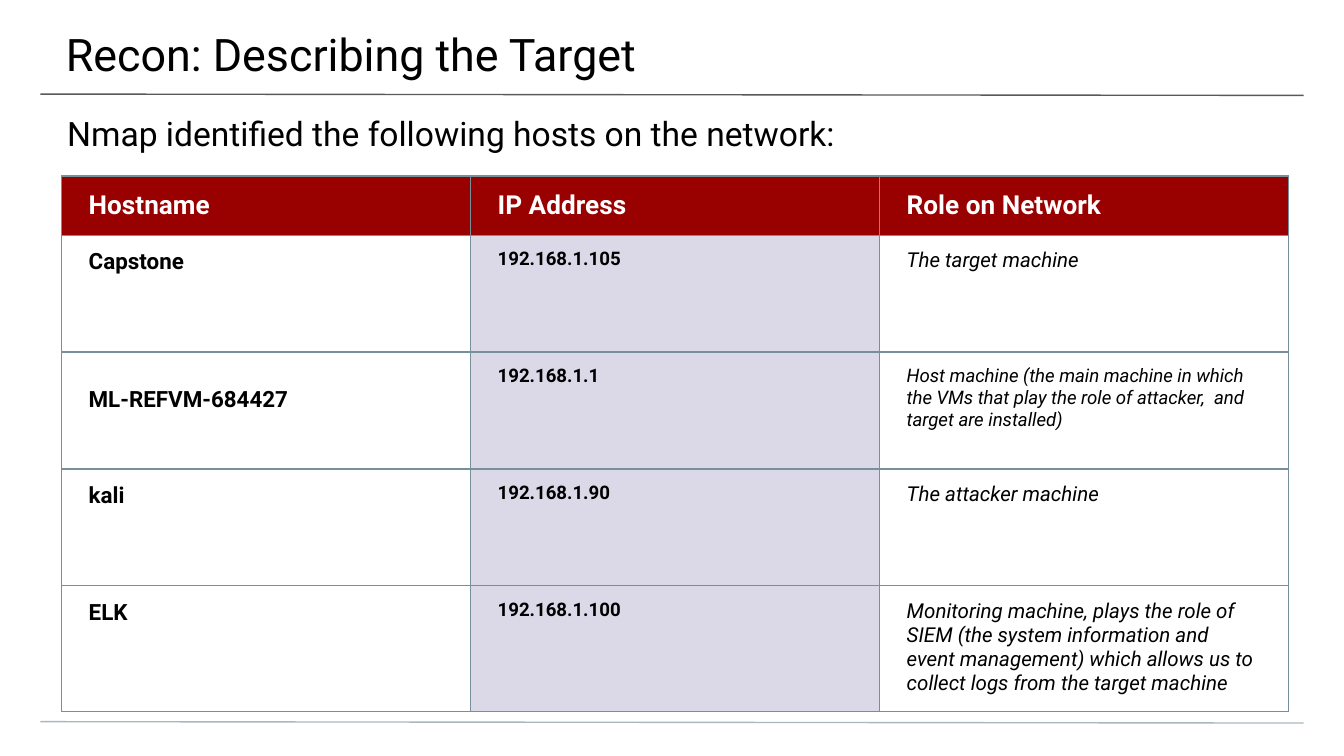
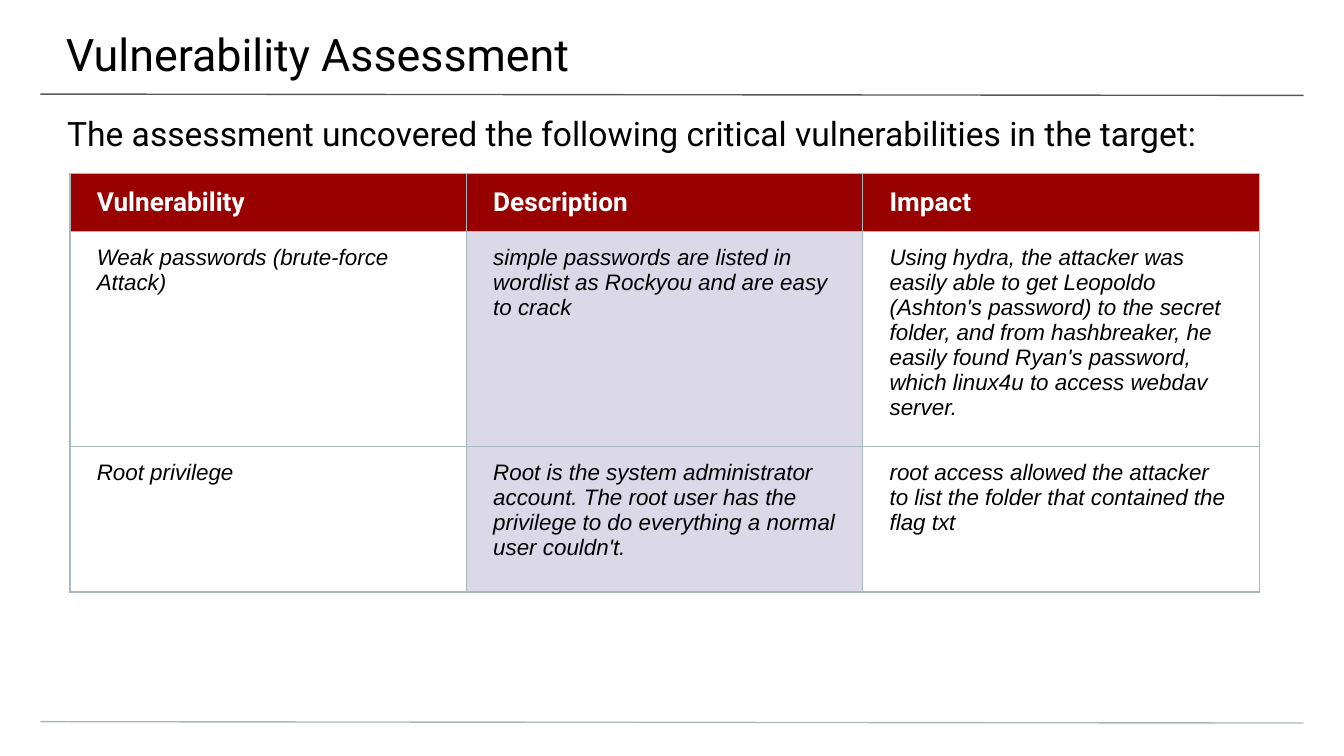
from lxml import etree
from pptx import Presentation
from pptx import util as u
from pptx.dml.color import RGBColor
from pptx.enum import shapes, text
from pptx.oxml.ns import qn

WIDTH, HEIGHT = 10, 5.625
BLACK, WHITE = "000000", "FFFFFF"
HEADER_RED, COLUMN_LILAC = "990000", "DBD9E8"
RULE_GREY, PALE_BLUE, SLATE = "595959", "A9B7C0", "78909C"
CELL_INSETS = (0.2, 0.1, 0.2, 0.1)
ROLE = dict(size=11, italic=True)
FINDING = dict(size=12, font="Arial", italic=True)


def color(hex_value):
    return RGBColor.from_string(hex_value)


def write(frame, words, size=12, font="Roboto", fill=BLACK, bold=False, italic=False):
    frame.word_wrap = True
    paragraph = frame.paragraphs[0]
    run = paragraph.add_run()
    run.text = words
    run.font.size, run.font.name = u.Pt(size), font
    run.font.bold, run.font.italic = bold, italic
    run.font.color.rgb = color(fill)


def set_insets(target, insets):
    """Set left, top, right and bottom margins of a text frame or table cell."""
    for side, inset in zip(("left", "top", "right", "bottom"), insets):
        setattr(target, f"margin_{side}", u.Inches(inset))


def add_text(slide, box, words, insets, **style):
    frame = slide.shapes.add_textbox(*map(u.Inches, box)).text_frame
    frame.vertical_anchor = text.MSO_ANCHOR.TOP
    set_insets(frame, insets)
    write(frame, words, **style)


def add_rule(slide, top, line_color):
    """Draw a nearly level line between the side margins."""
    margin = 0.03 * WIDTH
    rule = slide.shapes.add_connector(
        shapes.MSO_CONNECTOR.STRAIGHT,
        *map(u.Inches, (margin, top, WIDTH - margin, top + 0.01)))
    rule.line.color.rgb = color(line_color)
    rule.line.width = u.Pt(0.75)
    etree.SubElement(rule._element.spPr, qn("a:effectLst"))


def add_borders(cell, line_color):
    properties = cell._tc.get_or_add_tcPr()
    for index, side in enumerate(("lnL", "lnR", "lnT", "lnB")):
        line = etree.Element(qn(f"a:{side}"), w=str(u.Pt(0.75)))
        fill = etree.SubElement(line, qn("a:solidFill"))
        etree.SubElement(fill, qn("a:srgbClr"), val=line_color)
        properties.insert(index, line)


def add_frame(prs, title, subtitle):
    """Add a slide with the shared rules, title and subtitle."""
    slide = prs.slides.add_slide(prs.slide_layouts[6])
    slide.background.fill.solid()
    slide.background.fill.fore_color.rgb = color(WHITE)
    add_rule(slide, 0.7, RULE_GREY)
    add_rule(slide, 5.37, PALE_BLUE)
    add_text(slide, (-0.01, 0, WIDTH + 0.03, 0.58), title, (0.5, 0.2, 0.3, 0.1), size=24)
    add_text(slide, (0, 0.74, WIDTH, 0.4), subtitle, (0.5, 0.1, 0.5, 0), size=18)
    return slide


def add_grid(slide, box, header_height, headings, rows, border):
    """Add a table of (words, style) cells; body rows share the height below the header."""
    left, top, width, height = box
    grid = slide.shapes.add_table(
        len(rows) + 1, len(headings), *map(u.Inches, box)).table
    grid.horz_banding = False
    for column in grid.columns:
        column.width = u.Inches(width / len(headings))
    for row in grid.rows:
        row.height = u.Inches((height - header_height) / len(rows))
    grid.rows[0].height = u.Inches(header_height)

    header = [(words, dict(size=14, bold=True, fill=WHITE)) for words in headings]
    for r, entries in enumerate([header, *rows]):
        for c, (words, style) in enumerate(entries):
            cell = grid.cell(r, c)
            set_insets(cell, CELL_INSETS)
            cell.vertical_anchor = text.MSO_ANCHOR.TOP if r else text.MSO_ANCHOR.MIDDLE
            if r and c != 1:
                cell.fill.background()
            else:
                cell.fill.solid()
                cell.fill.fore_color.rgb = color(COLUMN_LILAC if r else HEADER_RED)
            write(cell.text_frame, words, **style)
            add_borders(cell, border)
    return grid


def build_recon(prs):
    slide = add_frame(prs, "Recon: Describing the Target",
                      "Nmap identified the following hosts on the network:")
    hosts = [
        ("Capstone", "192.168.1.105", "The target machine", ROLE),
        ("ML-REFVM-684427", "192.168.1.1",
         "Host machine (the main machine in which the VMs that play the role of "
         "attacker,  and target are installed)", {**ROLE, "size": 10}),
        ("kali", "192.168.1.90", "The attacker machine", ROLE),
        ("ELK", "192.168.1.100",
         "Monitoring machine, plays the role of SIEM (the system information and "
         "event management) which allows us to collect logs from the target machine", ROLE),
    ]
    rows = [[(name, dict(size=12, bold=True)), (address, dict(size=10, bold=True)),
             (role, style)] for name, address, role, style in hosts]
    grid = add_grid(slide, (0.46, 1.31, 9.13, 3.92), 0.44,
                    ("Hostname", "IP Address", "Role on Network"), rows, SLATE)
    grid.cell(2, 0).margin_top = u.Inches(0.26)


def build_vulnerabilities(prs):
    slide = add_frame(
        prs, "Vulnerability Assessment",
        "The assessment uncovered the following critical vulnerabilities in the target:")
    findings = [
        ("Weak passwords (brute-force Attack)",
         "simple passwords are listed in wordlist as Rockyou and are easy to crack",
         "Using hydra, the attacker was easily able to get Leopoldo (Ashton's password) "
         "to the secret folder, and from hashbreaker, he easily found Ryan's password, "
         "which linux4u to access webdav server."),
        ("Root privilege",
         "Root is the system administrator account. The root user has the privilege "
         "to do everything a normal user couldn't.",
         "root access allowed the attacker to list the folder that contained the flag txt"),
    ]
    rows = [[(words, FINDING) for words in finding] for finding in findings]
    add_grid(slide, (0.52, 1.29, 8.85, 2.55), 0.39,
             ("Vulnerability", "Description", "Impact"), rows, PALE_BLUE)


def main():
    prs = Presentation()
    prs.slide_width, prs.slide_height = u.Inches(WIDTH), u.Inches(HEIGHT)
    build_recon(prs)
    build_vulnerabilities(prs)
    prs.save("out.pptx")


if __name__ == "__main__":
    main()
